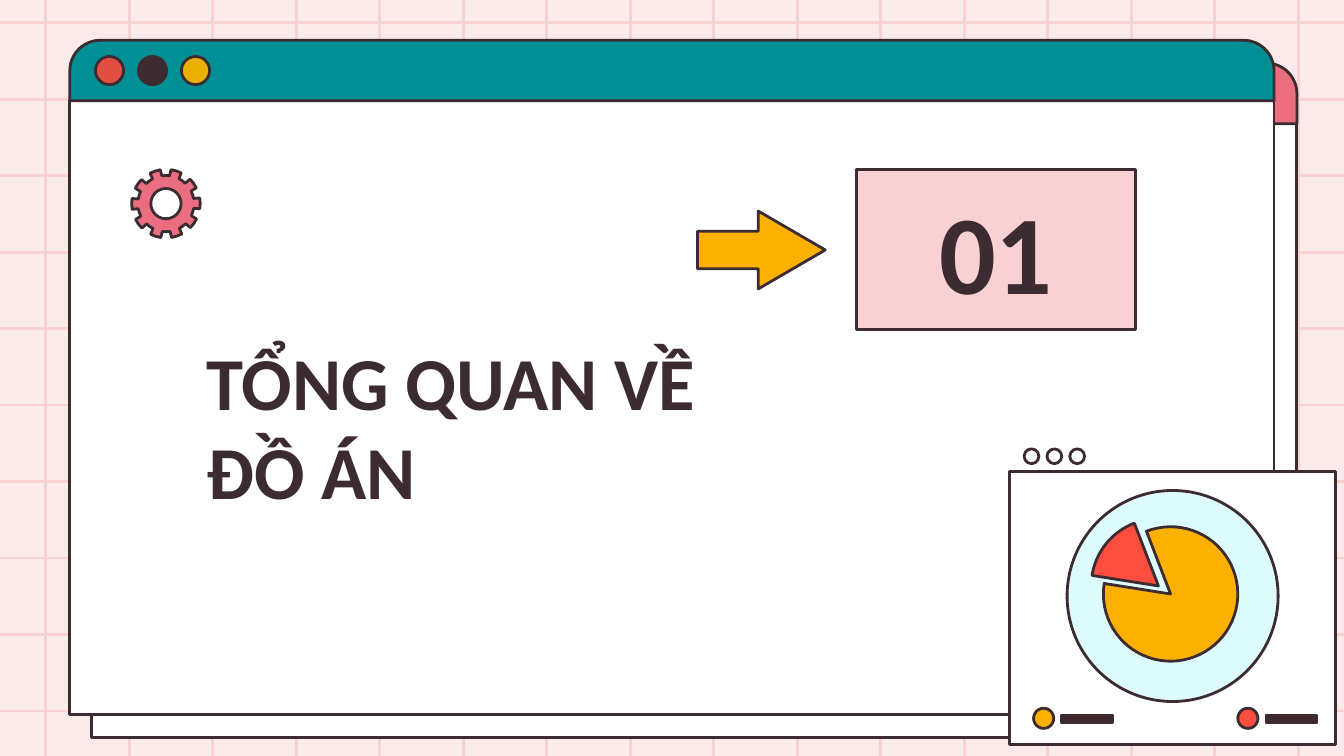
import math

import pptx
import pptx.dml.color
import pptx.enum.shapes
import pptx.enum.text
import pptx.oxml.ns
import pptx.util
from lxml import etree

Inches = pptx.util.Inches
SHAPE = pptx.enum.shapes.MSO_SHAPE
ALIGN = pptx.enum.text.PP_ALIGN
ANCHOR = pptx.enum.text.MSO_ANCHOR

COLORS = {
    "background": "FAEBEB", "blush": "F8D2D2", "ink": "3C2C31", "white": "FFFFFF",
    "pink": "EB6E80", "teal": "008F95", "brick": "E24E42", "gold": "E9B000",
    "amber": "FCB100", "coral": "FF4D3F", "ice": "DDFBFC", "cocoa": "3E282C",
}


def rgb(name):
    """Return the named colour."""
    return pptx.dml.color.RGBColor.from_string(COLORS[name])


def paint(sp, fill):
    """Give a shape a flat fill and the ink outline."""
    sp.shadow.inherit = False
    sp.fill.solid()
    sp.fill.fore_color.rgb = rgb(fill)
    sp.line.color.rgb = rgb("ink")
    sp.line.width = pptx.util.Pt(1.5)
    return sp


def add_preset(s, kind, x, y, w, h, fill):
    """Add a painted preset shape."""
    return paint(s.shapes.add_shape(kind, Inches(x), Inches(y), Inches(w), Inches(h)), fill)


def add_outline(s, contours, fill):
    """Add a painted freeform made of closed contours."""
    contours = [[(Inches(x), Inches(y)) for x, y in points] for points in contours]
    fb = s.shapes.build_freeform(*contours[0][0])
    fb.add_line_segments(contours[0][1:], close=True)
    for points in contours[1:]:
        fb.move_to(*points[0])
        fb.add_line_segments(points[1:], close=True)
    return paint(fb.convert_to_shape(), fill)


def polar(cx, cy, radius, degrees):
    """Return the point at a clockwise angle from a centre."""
    a = math.radians(degrees)
    return cx + radius * math.cos(a), cy + radius * math.sin(a)


def add_sector(s, cx, cy, radius, start, end, fill):
    """Add a pie slice running clockwise from start to end."""
    steps = 60
    arc = [polar(cx, cy, radius, start + (end - start) * i / steps) for i in range(steps + 1)]
    add_outline(s, [[(cx, cy)] + arc], fill)


def set_text(sp, text, size, anchor, align):
    """Fill a shape with one bold paragraph."""
    tf = sp.text_frame
    tf.word_wrap = True
    tf.vertical_anchor = anchor
    tf.margin_left = tf.margin_right = tf.margin_top = tf.margin_bottom = Inches(0.1)
    p = tf.paragraphs[0]
    p.text = text
    p.alignment = align
    p.font.name = "Calibri"
    p.font.size = pptx.util.Pt(size)
    p.font.bold = True
    p.font.color.rgb = rgb("ink")


def add_grid(s, w, h):
    """Draw the background grid over the slide area."""
    columns = [0.34 + 9.32 / 15 * i for i in range(16)]
    rows = [0.17 + 5.12 / 9 * i for i in range(10)]
    ends = [(x, 0, x, h) for x in columns] + [(0, y, w, y) for y in rows]
    for line in ends:
        c = s.shapes.add_connector(
            pptx.enum.shapes.MSO_CONNECTOR.STRAIGHT, *[Inches(v) for v in line])
        c.line.color.rgb = rgb("blush")
        c.line.width = pptx.util.Pt(1.5)
        etree.SubElement(c._element.spPr, pptx.oxml.ns.qn("a:effectLst"))


def add_window(s, x, y, w, h, bar_fill):
    """Draw a browser window with a title bar and three buttons."""
    bar = 0.45
    add_preset(s, SHAPE.RECTANGLE, x, y + bar, w, h - bar, "white")
    sp = add_preset(s, SHAPE.ROUND_2_SAME_RECTANGLE, x, y, w, bar, bar_fill)
    sp.adjustments[0] = 0.5
    for i, fill in enumerate(("brick", "ink", "gold")):
        add_preset(s, SHAPE.OVAL, x + 0.19 + 0.32 * i, y + 0.12, 0.21, 0.21, fill)


def add_heading(s, x, y, w, h):
    """Place the section title, its number and the arrow between them."""
    sp = s.shapes.add_textbox(Inches(x), Inches(y + 1.04), Inches(4.32), Inches(h - 1.04))
    set_text(sp, "TỔNG QUAN VỀ ĐỒ ÁN", 40, ANCHOR.BOTTOM, ALIGN.LEFT)
    sp = add_preset(s, SHAPE.RECTANGLE, x + w - 2.08, y, 2.08, 1.19, "blush")
    set_text(sp, "01", 60, ANCHOR.MIDDLE, ALIGN.CENTER)
    sp = add_preset(s, SHAPE.RIGHT_ARROW, x + 3.75, y + 0.31, 0.95, 0.58, "amber")
    sp.adjustments[0] = 0.48
    sp.adjustments[1] = 0.86


def add_pie_card(s, x, y, w, h):
    """Draw the card with a pie, a legend and three rings above it."""
    add_preset(s, SHAPE.RECTANGLE, x, y, w, h, "white")
    for dx, fill in ((0.18, "amber"), (1.7, "coral")):
        add_preset(s, SHAPE.RECTANGLE, x + dx + 0.21, y + 1.81, 0.38, 0.06, "cocoa")
        add_preset(s, SHAPE.OVAL, x + dx, y + 1.76, 0.15, 0.15, fill)
    for i in range(3):
        add_preset(s, SHAPE.OVAL, x + 0.11 + 0.17 * i, y - 0.17, 0.11, 0.11, "white")
    add_preset(s, SHAPE.OVAL, x + 0.43, y + 0.14, 1.57, 1.57, "ice")
    add_sector(s, x + 1.2, y + 0.91, 0.5, 249, 549, "amber")
    add_sector(s, x + 1.11, y + 0.85, 0.5, 189, 249, "coral")


def add_gear(s, x, y, size):
    """Draw a ten-toothed gear with a round hole."""
    r = size / 2
    cx, cy = x + r, y + r
    rim = []
    for tooth in range(10):
        for radius, turn in ((0.82, -10), (1, -9), (1, 0), (1, 9), (0.82, 10), (0.82, 18)):
            rim.append(polar(cx, cy, r * radius, 36 * tooth + turn - 0.5))
    hole = [polar(cx, cy, r * 0.44, -6 * i) for i in range(60)]
    add_outline(s, [rim, hole], "pink")


def main():
    """Build and save the slide."""
    w = 10
    h = w * 9 / 16
    prs = pptx.Presentation()
    prs.slide_width, prs.slide_height = Inches(w), Inches(h)
    s = prs.slides.add_slide(prs.slide_layouts[6])
    s.background.fill.solid()
    s.background.fill.fore_color.rgb = rgb("background")
    add_grid(s, w, h)
    add_window(s, 0.68, 0.47, 8.97, 5.02, "pink")
    add_window(s, 0.52, 0.3, 8.96, 5.02, "teal")
    add_heading(s, 1.44, 1.26, 7.01, 2.67)
    add_pie_card(s, 7.51, 3.51, 2.43, 2.03)
    add_gear(s, 0.98, 1.26, 0.51)
    prs.save("out.pptx")


if __name__ == "__main__":
    main()
